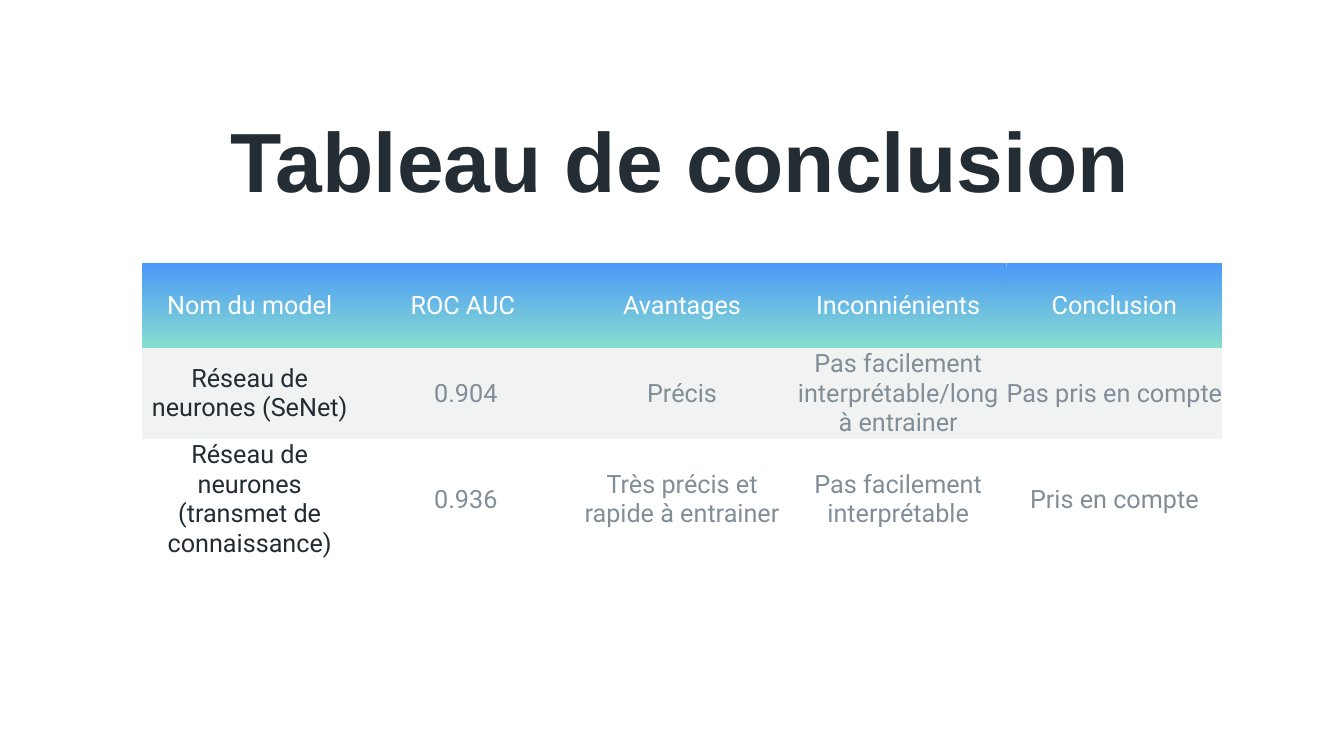
from pptx import Presentation
from pptx.dml.color import RGBColor
from pptx.enum.text import MSO_ANCHOR, MSO_AUTO_SIZE, PP_ALIGN
from pptx.util import Inches, Pt

COLORS = {
    "title": "232D33",
    "header_top": "4B99F8",
    "header_bottom": "88DDCF",
    "header_text": "FFFFFF",
    "model": "222C34",
    "detail": "818E98",
    "band": "F1F2F2",
}
NO_STYLE_NO_GRID = "{2D5ABB26-0587-4C30-8999-92F81FD0307C}"
HEADERS = ["Nom du model", "ROC AUC ", "Avantages", "Inconniénients", "Conclusion"]
MODELS = [
    ["Réseau de neurones (SeNet)", "0.904", "Précis",
     "Pas facilement interprétable/long à entrainer", "Pas pris en compte"],
    ["Réseau de neurones (transmet de connaissance)", "0.936",
     "Très précis et rapide à entrainer", "Pas facilement interprétable",
     "Pris en compte"],
]


def color(name):
    """Return the named colour."""
    return RGBColor.from_string(COLORS[name])


def add_span(para, text, font, size, color_name, bold=False):
    """Add one formatted run to a paragraph."""
    span = para.add_run()
    span.text = text
    span.font.name = font
    span.font.size = Pt(size)
    span.font.bold = bold
    span.font.color.rgb = color(color_name)


def set_margins(target, margin):
    """Give a text frame or cell the same margin on all sides."""
    target.margin_left = target.margin_right = margin
    target.margin_top = target.margin_bottom = margin


def set_title(page, text):
    """Place and format the slide title."""
    title = page.shapes.title
    title.left, title.top = Inches(4.48), Inches(2.05)
    title.width, title.height = Inches(18.17), Inches(2.2)
    frame = title.text_frame
    frame.word_wrap = True
    frame.auto_size = MSO_AUTO_SIZE.SHAPE_TO_FIT_TEXT
    frame.vertical_anchor = MSO_ANCHOR.TOP
    set_margins(frame, Inches(0.1))
    para = frame.paragraphs[0]
    para.alignment = PP_ALIGN.LEFT
    add_span(para, text, "Arial", 120, "title", bold=True)


def fill_header(cell):
    """Fill a header cell with the vertical gradient."""
    cell.fill.gradient()
    cell.fill.gradient_angle = 270
    for stop, name in zip(cell.fill.gradient_stops, ("header_top", "header_bottom")):
        stop.color.rgb = color(name)


def fill_band(cell):
    """Fill a cell with the band colour."""
    cell.fill.solid()
    cell.fill.fore_color.rgb = color("band")


def fill_none(cell):
    """Leave a cell without fill."""
    cell.fill.background()


def write_cell(cell, text, color_name):
    """Write centred text in a cell."""
    set_margins(cell, 0)
    cell.vertical_anchor = MSO_ANCHOR.MIDDLE
    para = cell.text_frame.paragraphs[0]
    para.alignment = PP_ALIGN.CENTER
    add_span(para, text, "Roboto", 36, color_name)


def add_comparison(page):
    """Add the table that compares the models."""
    rows = [HEADERS] + MODELS
    column_width, row_height = Inches(4.29), Inches(1.69)
    frame = page.shapes.add_table(
        len(rows), len(HEADERS), Inches(2.81), Inches(5.22),
        column_width * len(HEADERS), row_height * len(rows))
    table = frame.table
    table.horz_banding = False
    for style in frame.element.xpath(".//a:tableStyleId"):
        style.text = NO_STYLE_NO_GRID
    fills = (fill_header, fill_band, fill_none)
    for row, (texts, fill) in enumerate(zip(rows, fills)):
        for column, text in enumerate(texts):
            cell = table.cell(row, column)
            fill(cell)
            body_color = "detail" if column else "model"
            write_cell(cell, text, body_color if row else "header_text")


def main():
    """Build and save the deck."""
    deck = Presentation()
    deck.slide_width, deck.slide_height = Inches(26.67), Inches(15)
    page = deck.slides.add_slide(deck.slide_layouts.get_by_name("Title Only"))
    set_title(page, "Tableau de conclusion")
    add_comparison(page)
    deck.save("out.pptx")


if __name__ == "__main__":
    main()
